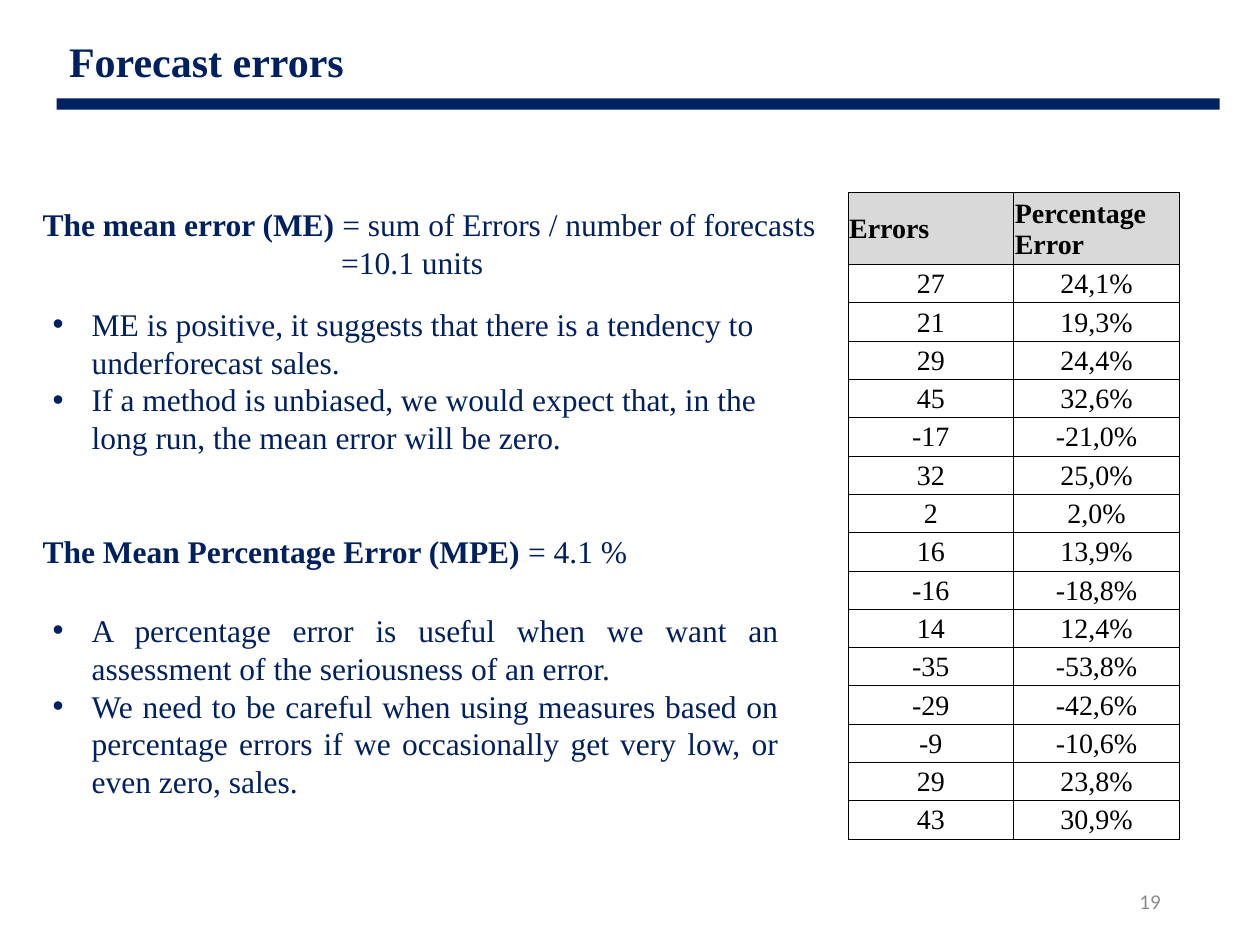
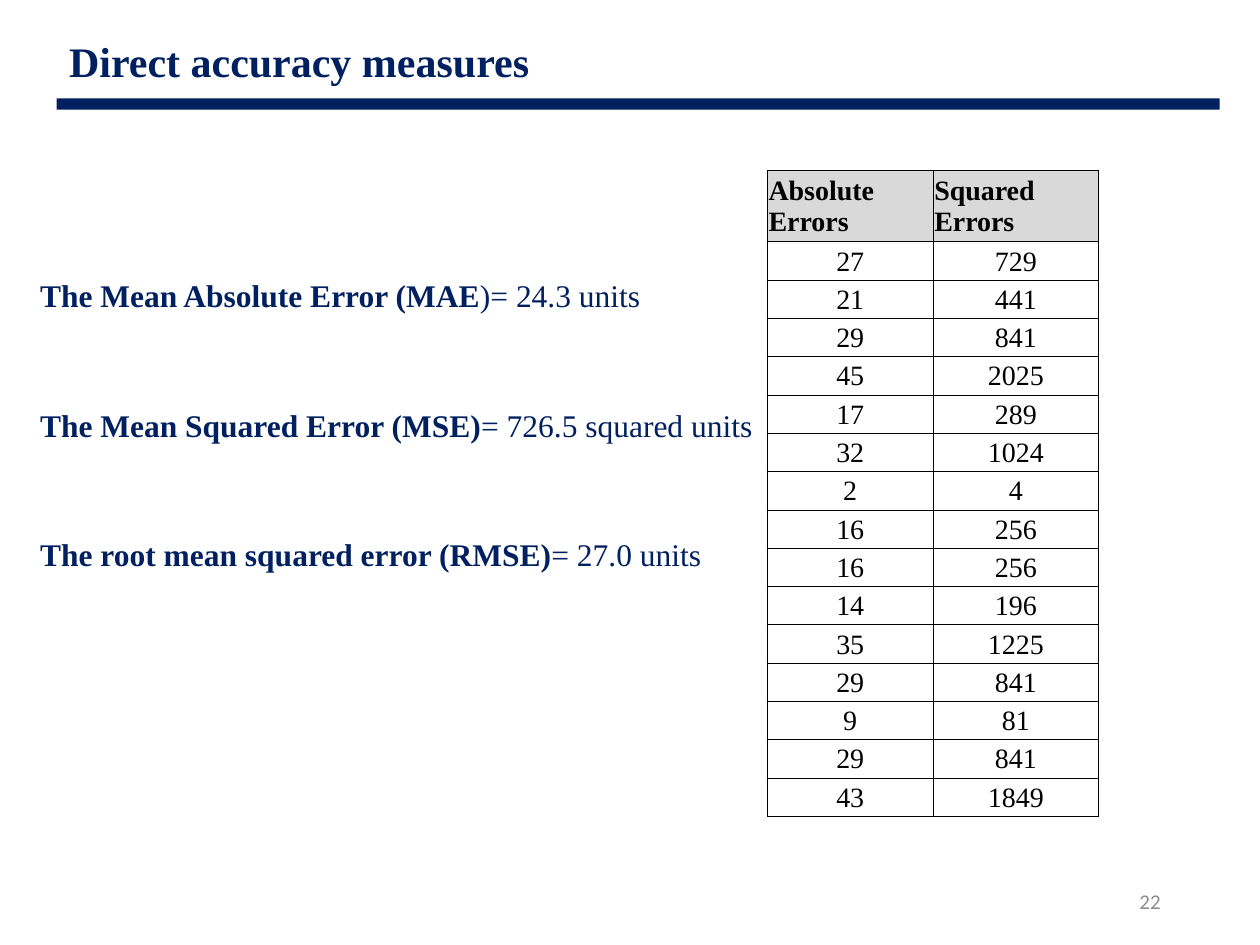
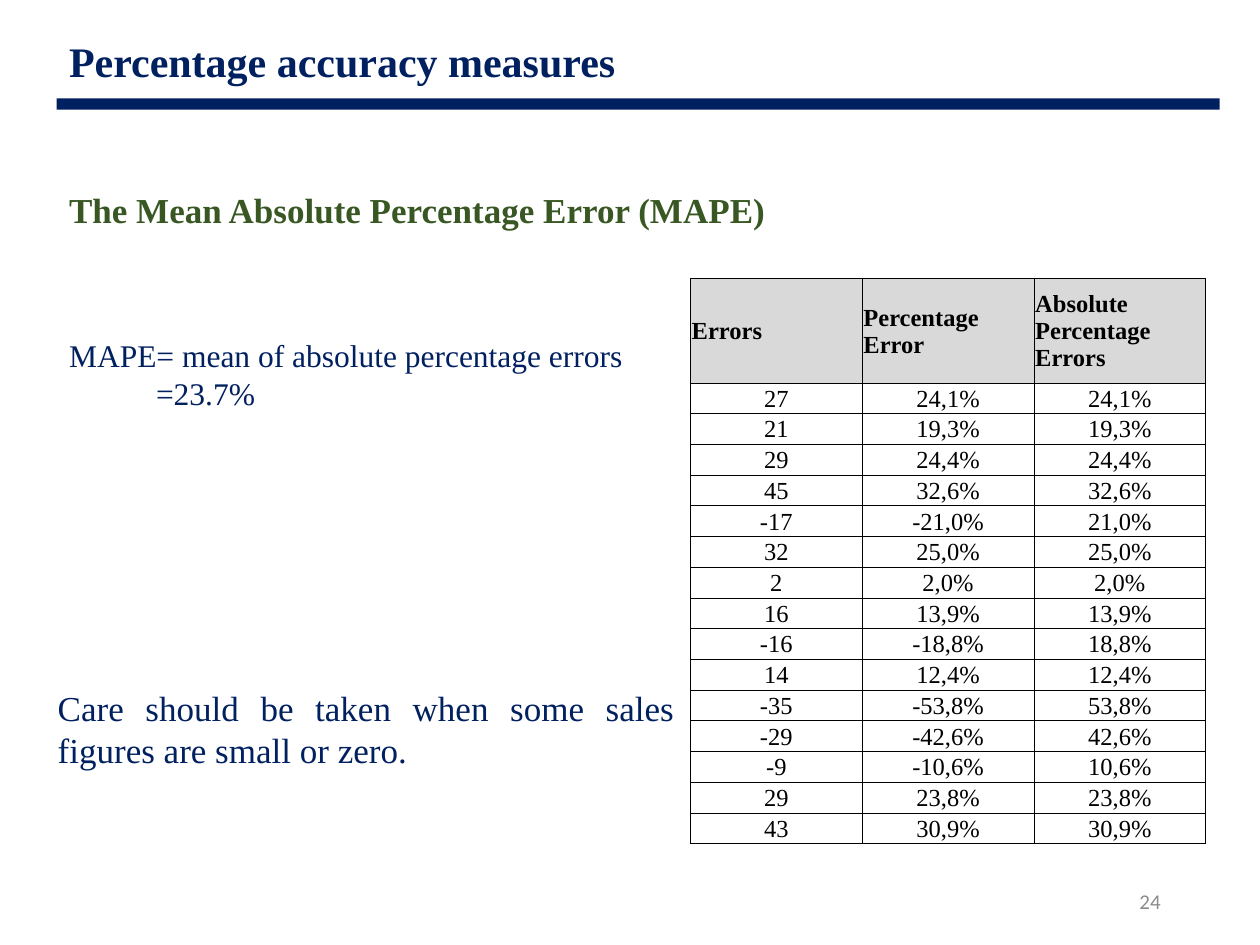
from lxml.etree import SubElement
from pptx import Presentation
from pptx.dml.color import RGBColor
from pptx.enum.shapes import MSO_SHAPE
from pptx.enum.text import MSO_ANCHOR, PP_ALIGN
from pptx.oxml.ns import qn
from pptx.util import Inches, Pt

COLORS = {
    "navy": "002060",
    "green": "385723",
    "gray": "8C8C8C",
    "header": "D9D9D9",
    "black": "000000",
}
FONT = "Times New Roman"
JUSTIFY = PP_ALIGN.JUSTIFY
BULLET_INDENT = 0.31

ERRORS = [27, 21, 29, 45, -17, 32, 2, 16, -16, 14, -35, -29, -9, 29, 43]
PERCENTAGES = [
    "24,1%", "19,3%", "24,4%", "32,6%", "-21,0%", "25,0%", "2,0%", "13,9%",
    "-18,8%", "12,4%", "-53,8%", "-42,6%", "-10,6%", "23,8%", "30,9%",
]


def rgb(name):
    return RGBColor.from_string(COLORS[name])


def add_run(p, text, size=18, color="navy", bold=False, font=FONT):
    r = p.add_run()
    r.text = text
    r.font.size = Pt(size)
    r.font.name = font
    r.font.bold = bold
    r.font.color.rgb = rgb(color)


def set_indent(p, left, first=0):
    pPr = p._p.get_or_add_pPr()
    pPr.set("marL", str(Inches(left)))
    pPr.set("indent", str(Inches(first)))
    return pPr


def add_text(slide, box, *paragraphs, align=PP_ALIGN.LEFT, anchor=MSO_ANCHOR.TOP,
             bullets=False, last_indent=0, **style):
    """Add a text box; a paragraph is a string or a (bold, regular) pair."""
    tf = slide.shapes.add_textbox(*map(Inches, box)).text_frame
    tf.word_wrap = True
    tf.vertical_anchor = anchor
    for i, content in enumerate(paragraphs):
        p = tf.add_paragraph() if i else tf.paragraphs[0]
        p.alignment = align
        if bullets:
            pPr = set_indent(p, BULLET_INDENT, -BULLET_INDENT)
            SubElement(pPr, qn("a:buFont"), typeface="Arial")
            SubElement(pPr, qn("a:buChar"), char="•")
        if isinstance(content, tuple):
            strong, regular = content
            add_run(p, strong, bold=True, **style)
            add_run(p, regular, **style)
        else:
            add_run(p, content, **style)
    if last_indent:
        set_indent(p, last_indent)


def add_borders(cell):
    tcPr = cell._tc.get_or_add_tcPr()
    for side in ("a:lnL", "a:lnR", "a:lnT", "a:lnB"):
        ln = SubElement(tcPr, qn(side), w=str(Pt(0.5)))
        fill = SubElement(ln, qn("a:solidFill"))
        SubElement(fill, qn("a:srgbClr"), val=COLORS["black"])


def add_error_table(slide, box, columns, header_height, size):
    """Add a table from a dict of heading to values."""
    left, top, width, height = map(Inches, box)
    rows = [list(columns), *zip(*columns.values())]
    table = slide.shapes.add_table(len(rows), len(columns), left, top, width, height).table
    table.first_row = table.horz_banding = False
    for column in table.columns:
        column.width = int(width / len(columns))
    for i, values in enumerate(rows):
        is_header = i == 0
        body_height = (height - Inches(header_height)) / (len(rows) - 1)
        table.rows[i].height = Inches(header_height) if is_header else int(body_height)
        for cell, value in zip(table.rows[i].cells, values):
            cell.margin_left = cell.margin_right = cell.margin_top = Inches(0.01)
            cell.margin_bottom = 0
            cell.vertical_anchor = MSO_ANCHOR.MIDDLE
            add_borders(cell)
            if is_header:
                cell.fill.solid()
                cell.fill.fore_color.rgb = rgb("header")
            else:
                cell.fill.background()
            p = cell.text_frame.paragraphs[0]
            p.alignment = PP_ALIGN.LEFT if is_header else PP_ALIGN.CENTER
            add_run(p, str(value), size=size, color="black", bold=is_header)


def add_base_slide(prs, title, number):
    slide = prs.slides.add_slide(prs.slide_layouts[6])
    add_text(slide, (7.06, 6.95, 2.25, 0.4), str(number), align=PP_ALIGN.RIGHT,
             anchor=MSO_ANCHOR.MIDDLE, size=12, color="gray", font="Calibri")
    band = slide.shapes.add_shape(
        MSO_SHAPE.RECTANGLE, Inches(0.45), Inches(0.78), Inches(9.23), Inches(0.09))
    band.shadow.inherit = False
    band.fill.solid()
    band.fill.fore_color.rgb = rgb("navy")
    band.line.fill.background()
    add_text(slide, (0.45, 0.23, 7.53, 0.5), title, size=24, bold=True)
    return slide


def build_forecast_errors(prs):
    slide = add_base_slide(prs, "Forecast errors", 19)
    add_error_table(slide, (6.73, 1.53, 2.63, 5.13),
                    {"Errors": ERRORS, "Percentage Error": PERCENTAGES},
                    header_height=0.57, size=16)
    add_text(slide, (0.24, 1.58, 6.46, 0.71),
             ("The mean error (ME) ", "= sum of Errors / number of forecasts"),
             "=10.1 units", last_indent=2.37)
    add_text(slide, (0.24, 4.17, 4.89, 0.4),
             ("The Mean Percentage Error (MPE) ", "= 4.1 %"))
    add_text(slide, (0.32, 2.37, 6.17, 1.31),
             "ME is positive, it suggests that there is a tendency to underforecast sales.",
             "If a method is unbiased, we would expect that, in the long run, "
             "the mean error will be zero.",
             bullets=True)
    add_text(slide, (0.32, 4.8, 5.96, 1.62),
             "A percentage error is useful when we want an assessment of the "
             "seriousness of an error.",
             "We need to be careful when using measures based on percentage errors "
             "if we occasionally get very low, or even zero, sales.",
             bullets=True, align=JUSTIFY)


def build_direct_measures(prs):
    slide = add_base_slide(prs, "Direct accuracy measures", 22)
    add_error_table(slide, (6.09, 1.35, 2.63, 5.13),
                    {"Absolute Errors": [abs(e) for e in ERRORS],
                     "Squared Errors": [e ** 2 for e in ERRORS]},
                    header_height=0.57, size=16)
    measures = [
        ("The Mean Absolute Error (MAE", ")= 24.3 units"),
        ("The Mean Squared Error (MSE)", "= 726.5 squared units"),
        ("The root mean squared error (RMSE)", "= 27.0 units"),
    ]
    for i, measure in enumerate(measures):
        add_text(slide, (0.22, 2.14 + 1.03 * i, 9.09, 0.4), measure, align=JUSTIFY)


def build_percentage_measures(prs):
    slide = add_base_slide(prs, "Percentage accuracy measures", 24)
    add_text(slide, (0.45, 1.45, 8.86, 0.44), "The Mean Absolute Percentage Error (MAPE)",
             align=JUSTIFY, size=20, color="green", bold=True)
    add_text(slide, (0.36, 5.4, 5.09, 0.77),
             "Care should be taken when some sales figures are small or zero.",
             align=JUSTIFY, size=20)
    add_error_table(slide, (5.48, 2.21, 4.09, 4.49),
                    {"Errors": ERRORS, "Percentage Error": PERCENTAGES,
                     "Absolute Percentage Errors": [v.lstrip("-") for v in PERCENTAGES]},
                    header_height=0.83, size=14)
    add_text(slide, (0.45, 2.62, 5, 0.71),
             "MAPE= mean of absolute percentage errors", "=23.7%",
             align=JUSTIFY, last_indent=0.69)


def main():
    prs = Presentation()
    prs.slide_width, prs.slide_height = Inches(10), Inches(7.5)
    build_forecast_errors(prs)
    build_direct_measures(prs)
    build_percentage_measures(prs)
    prs.save("out.pptx")


if __name__ == "__main__":
    main()
